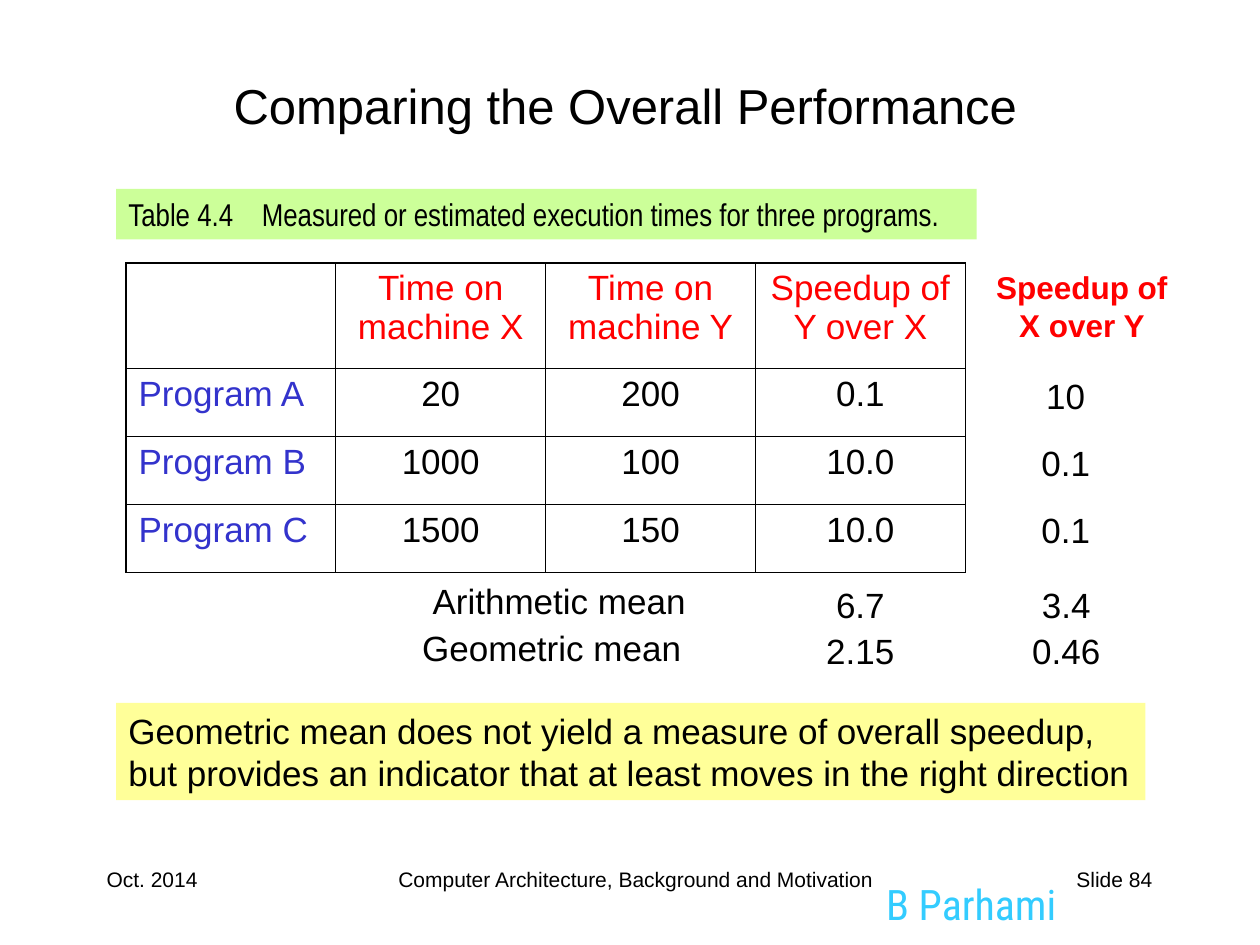
from dataclasses import dataclass

from lxml.etree import SubElement
from pptx import Presentation
from pptx.dml.color import RGBColor
from pptx.enum.shapes import MSO_SHAPE
from pptx.enum.text import MSO_ANCHOR, PP_ALIGN
from pptx.oxml.ns import qn
from pptx.util import Cm, Pt


@dataclass(frozen=True)
class Theme:
    font: str = "Arial"
    narrow: str = "Arial Narrow"
    condensed: str = "Roboto Condensed"
    black: str = "000000"
    red: str = "FF0000"
    blue: str = "3333CC"
    cyan: str = "33CCFF"
    green_fill: str = "CCFF99"
    yellow_fill: str = "FFFF99"
    title: float = 28
    author: float = 24
    body: float = 20
    caption: float = 18
    footer: float = 12
    outer_line: float = 1.08
    inner_line: float = 0.45


THEME = Theme()
LEFT, CENTER, RIGHT = PP_ALIGN.LEFT, PP_ALIGN.CENTER, PP_ALIGN.RIGHT

TIMES = [
    ["", "Time on machine X", "Time on machine Y", "Speedup of Y over X"],
    ["Program A", "20", "200", "0.1"],
    ["Program B", "1000", "100", "10.0"],
    ["Program C", "1500", "150", "10.0"],
]
# label, left of label, Y over X, X over Y
MEANS = [
    ("Arithmetic mean", 8.47, "6.7", "3.4"),
    ("Geometric mean", 8.26, "2.15", "0.46"),
]
FOOTERS = [
    ("Oct. 2014", 1.9, 5.28, LEFT),
    ("Computer Architecture, Background and Motivation", 6.15, 13.34, CENTER),
    ("Slide 84", 18.2, 5.28, RIGHT),
]


def write(frame, text, size=THEME.body, color=THEME.black, font=THEME.font,
          bold=False, align=LEFT, before=0, wrap=True):
    """Fill a text frame, one paragraph per line of text."""
    frame.word_wrap = wrap
    for index, line in enumerate(text.split("\n")):
        paragraph = frame.paragraphs[0] if index == 0 else frame.add_paragraph()
        paragraph.alignment = align
        paragraph.space_before = Pt(before)
        run = paragraph.add_run()
        run.text = line
        run.font.name = font
        run.font.size = Pt(size)
        run.font.bold = bold
        run.font.color.rgb = RGBColor.from_string(color)


def add_label(slide, text, left, top, width, height, **text_format):
    label = slide.shapes.add_textbox(Cm(left), Cm(top), Cm(width), Cm(height))
    write(label.text_frame, text, **text_format)


def add_band(slide, text, left, top, width, height, fill, **text_format):
    band = slide.shapes.add_shape(MSO_SHAPE.RECTANGLE, Cm(left), Cm(top),
                                  Cm(width), Cm(height))
    band.shadow.inherit = False
    band.fill.solid()
    band.fill.fore_color.rgb = RGBColor.from_string(fill)
    band.line.fill.background()
    band.text_frame.vertical_anchor = MSO_ANCHOR.TOP
    write(band.text_frame, text, **text_format)
    return band


def add_tab_stop(frame, position):
    properties = frame.paragraphs[0]._p.get_or_add_pPr()
    stops = SubElement(properties, qn("a:tabLst"))
    SubElement(stops, qn("a:tab"), pos=str(Cm(position)), algn="l")


def set_borders(cell, outer_sides):
    properties = cell._tc.get_or_add_tcPr()
    for side in "LRTB":
        points = THEME.outer_line if side in outer_sides else THEME.inner_line
        line = SubElement(properties, qn(f"a:ln{side}"), w=str(Pt(points)))
        SubElement(SubElement(line, qn("a:solidFill")), qn("a:srgbClr"),
                   val=THEME.black)


def add_times_table(slide, left, top, column_width, row_heights):
    last_row, last_column = len(TIMES) - 1, len(TIMES[0]) - 1
    table = slide.shapes.add_table(
        last_row + 1, last_column + 1, Cm(left), Cm(top),
        Cm(column_width * (last_column + 1)), Cm(sum(row_heights))).table
    table.first_row = table.horz_banding = False
    for column in table.columns:
        column.width = Cm(column_width)
    for row, height in zip(table.rows, row_heights):
        row.height = Cm(height)

    for r, entries in enumerate(TIMES):
        for c, entry in enumerate(entries):
            cell = table.cell(r, c)
            edges = {"T": r == 0, "B": r == last_row,
                     "L": c == 0, "R": c == last_column}
            set_borders(cell, [side for side, outer in edges.items() if outer])
            cell.fill.background()
            if entry:
                color = (THEME.red if r == 0 else
                         THEME.blue if c == 0 else THEME.black)
                write(cell.text_frame, entry, color=color, before=5,
                      align=LEFT if c == 0 else CENTER)


def main():
    deck = Presentation()
    deck.slide_width, deck.slide_height = Cm(25.4), Cm(19.05)
    slide = deck.slides.add_slide(deck.slide_layouts[5])

    # Title
    title = slide.shapes.title
    title.left, title.top = Cm(0.64), Cm(0.84)
    title.width, title.height = Cm(23.93), Cm(2.54)
    title.text_frame.vertical_anchor = MSO_ANCHOR.MIDDLE
    write(title.text_frame, "Comparing the Overall Performance",
          size=THEME.title, align=CENTER)

    # Footer and author
    add_label(slide, "B Parhami", 17.04, 17.58, 5.08, 1.07, size=THEME.author,
              color=THEME.cyan, font=THEME.condensed, align=CENTER, wrap=False)
    for text, left, width, align in FOOTERS:
        add_label(slide, text, left, 17.35, width, 1.27, size=THEME.footer,
                  align=align)

    # Caption and table of times
    caption = add_band(
        slide, "Table 4.4\tMeasured or estimated execution times for three programs.",
        2.34, 3.81, 17.35, 1.02, THEME.green_fill,
        size=THEME.caption, font=THEME.narrow)
    add_tab_stop(caption.text_frame, 2.69)
    add_times_table(slide, 2.54, 5.3, 4.23, [2.13, 1.37, 1.37, 1.37])

    # Reverse speedup beside the table
    add_label(slide, "Speedup of X over Y", 19.69, 5.28, 4.24, 1.78,
              size=THEME.caption, color=THEME.red, bold=True, align=CENTER)
    add_label(slide, "10\n0.1\n0.1", 20.2, 7.42, 2.57, 3.81, align=CENTER,
              before=14.4)

    # Means below the table
    for index, (name, left, y_over_x, x_over_y) in enumerate(MEANS):
        drop = index * 0.94
        add_label(slide, name, left, 11.56 + drop, 5.94, 1.12)
        for value, value_left in ((y_over_x, 15.44), (x_over_y, 19.59)):
            add_label(slide, value, value_left, 11.63 + drop, 3.81, 1.12,
                      align=CENTER)

    # Conclusion
    add_band(slide, "Geometric mean does not yield a measure of overall speedup, "
             "but provides an indicator that at least moves in the right direction",
             2.34, 14.17, 20.75, 1.96, THEME.yellow_fill)

    deck.save("out.pptx")


if __name__ == "__main__":
    main()
